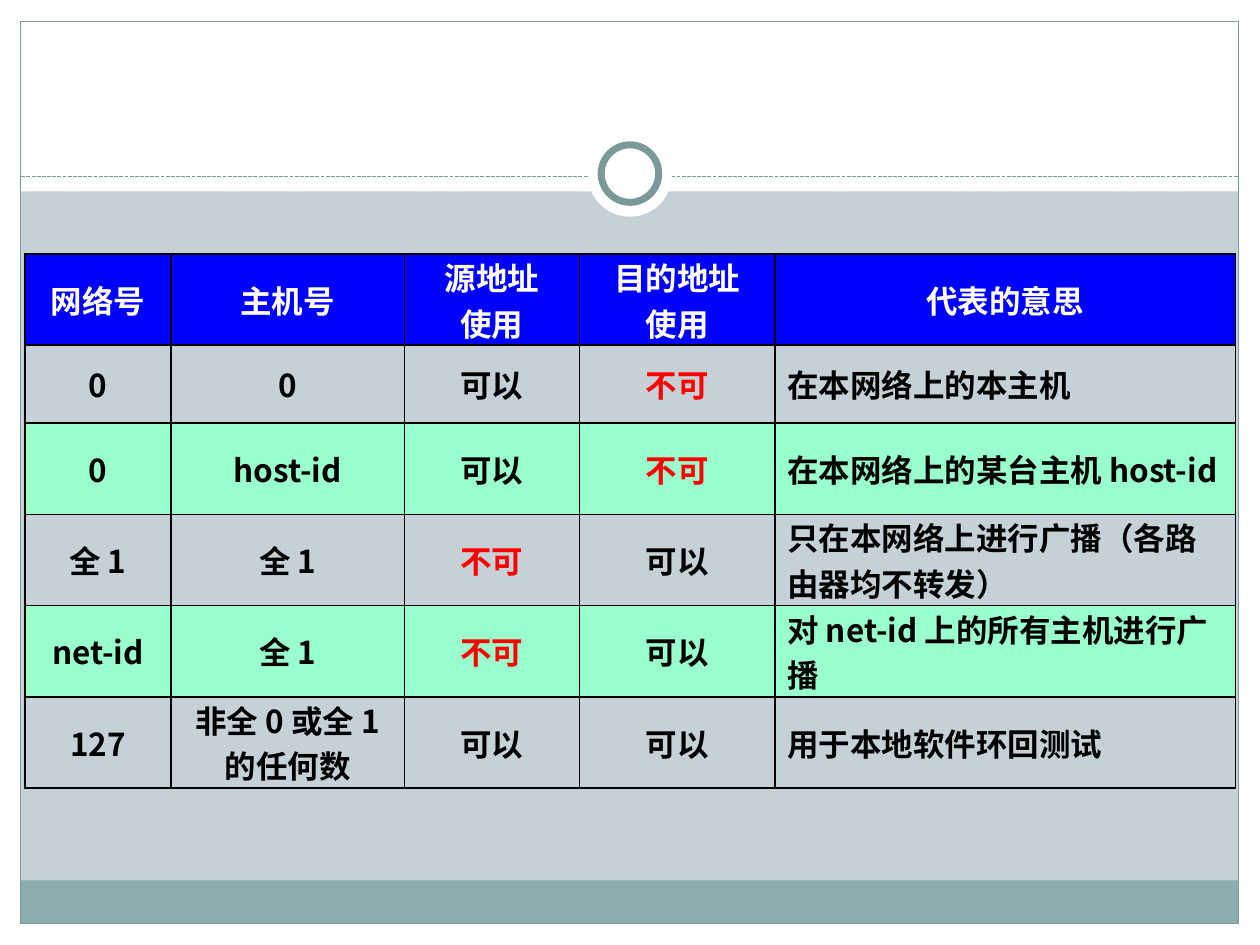
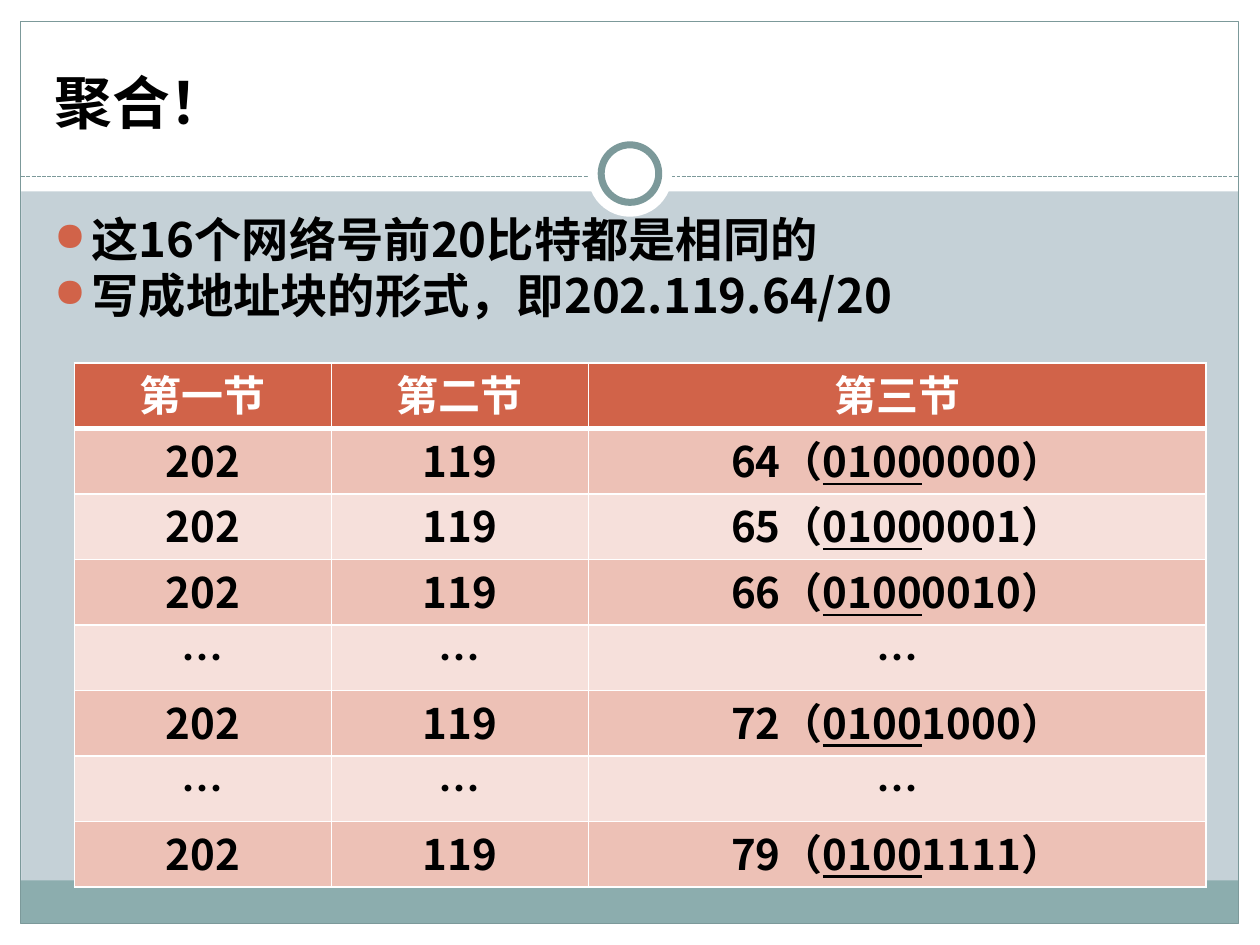
from lxml.etree import SubElement
from pptx import Presentation
from pptx.dml.color import RGBColor as RGB
from pptx.enum.dml import MSO_LINE
from pptx.enum.shapes import MSO_CONNECTOR, MSO_SHAPE as SHAPE
from pptx.enum.text import MSO_ANCHOR as ANCHOR, MSO_AUTO_SIZE as AUTO, PP_ALIGN as ALIGN
from pptx.oxml.ns import qn
from pptx.util import Cm, Pt

FONT = "Noto Sans CJK SC"
COLORS = {
    "bg": "C5D1D7", "white": "FFFFFF", "black": "000000", "footer": "8CADAE",
    "frame": "7C999A", "blue": "0000FF", "mint": "99FFCC", "red": "FF0000",
    "accent": "D16349", "pink": "EDC1B6", "pale": "F6E0DB",
}
C = {name: RGB.from_string(value) for name, value in COLORS.items()}


def add_run(p, text, size, color="black", underline=None):
    r = p.add_run()
    r.text = text
    r.font.name, r.font.size, r.font.bold = FONT, Pt(size), True
    r.font.underline = underline
    r.font.color.rgb = C[color]
    rPr = r._r.get_or_add_rPr()
    rPr.set("lang", "zh-CN")
    SubElement(rPr, qn("a:ea"), typeface=FONT)


def format_cell(cell, fill, border, inset, top=1, bottom=1):
    tcPr = cell._tc.get_or_add_tcPr()
    for side, width in (("L", 1), ("R", 1), ("T", top), ("B", bottom)):
        ln = SubElement(tcPr, qn(f"a:ln{side}"), w=str(Pt(width)))
        SubElement(SubElement(ln, qn("a:solidFill")), qn("a:srgbClr"), val=COLORS[border])
    if fill:
        cell.fill.solid()
        cell.fill.fore_color.rgb = C[fill]
    else:
        cell.fill.background()
    cell.margin_left = cell.margin_right = Cm(inset)
    cell.margin_top = cell.margin_bottom = 0


prs = Presentation()
prs.slide_width, prs.slide_height = Cm(25.4), Cm(19.05)
master = prs.slide_master
master.background.fill.solid()
master.background.fill.fore_color.rgb = C["bg"]

# Slide-wide bands, frame and ring
s = prs.slides.add_slide(prs.slide_layouts[6])
decor = [
    (SHAPE.RECTANGLE, 0, 18.62, 25.4, 0.43, "white", 0),
    (SHAPE.RECTANGLE, 0, 0, 25.4, 3.86, "white", 0),
    (SHAPE.RECTANGLE, 0, 0, 0.43, 19.05, "white", 0),
    (SHAPE.RECTANGLE, 24.97, 0, 0.43, 19.05, "white", 0),
    (SHAPE.RECTANGLE, 0.42, 17.75, 24.54, 0.87, "footer", 0),
    (SHAPE.RECTANGLE, 0.42, 0.43, 24.55, 18.19, None, 0.75),
    (None, 0.43, 3.56, 24.54, 0, None, 0.75),
    (SHAPE.OVAL, 11.85, 2.67, 1.7, 1.7, "white", 0),
    (SHAPE.OVAL, 12.12, 2.92, 1.16, 1.16, "white", 4),
]
for i, (kind, x, y, w, h, fill, line) in enumerate(decor):
    if kind is None:
        sp = s.shapes.add_connector(MSO_CONNECTOR.STRAIGHT, Cm(x), Cm(y), Cm(x + w), Cm(y + h))
        sp.line.dash_style = MSO_LINE.SQUARE_DOT
        SubElement(sp._element.spPr, qn("a:effectLst"))
    else:
        sp = s.shapes.add_shape(kind, Cm(x), Cm(y), Cm(w), Cm(h))
        sp.shadow.inherit = False
        if fill:
            sp.fill.solid()
            sp.fill.fore_color.rgb = C[fill]
        else:
            sp.fill.background()
    if line:
        sp.line.color.rgb = C["frame"]
        sp.line.width = Pt(line)
    else:
        sp.line.fill.background()
    sp._element.xpath(".//p:cNvPr")[0].set("id", str(100 + i))
    master.shapes._spTree.append(sp._element)

# Special addresses
rows = [
    ("网络号", "主机号", "源地址\n使用", "目的地址\n使用", "代表的意思"),
    ("0", "0", "可以", "不可", "在本网络上的本主机"),
    ("0", "host-id", "可以", "不可", "在本网络上的某台主机 host-id"),
    ("全 1", "全 1", "不可", "可以", "只在本网络上进行广播（各路由器均不转发）"),
    ("net-id", "全 1", "不可", "可以", "对 net-id 上的所有主机进行广播"),
    ("127", "非全 0 或全 1 的任何数", "可以", "可以", "用于本地软件环回测试"),
]
widths = [2.95, 4.7, 3.53, 3.94, 9.29]
tbl = s.shapes.add_table(len(rows), len(widths), Cm(0.5), Cm(5.12), Cm(24.41), Cm(9.4)).table
for col, w in zip(tbl.columns, widths):
    col.width = Cm(w)
for i, row in enumerate(rows):
    tbl.rows[i].height = Cm(1.57)
    fill = "blue" if i == 0 else "mint" if i % 2 == 0 else None
    for j, text in enumerate(row):
        cell = tbl.cell(i, j)
        format_cell(cell, fill, "black", 0.25)
        cell.vertical_anchor = ANCHOR.MIDDLE
        color = "white" if i == 0 else "red" if text == "不可" else "black"
        tf = cell.text_frame
        for k, part in enumerate(text.split("\n")):
            p = tf.add_paragraph() if k else tf.paragraphs[0]
            p.alignment = ALIGN.LEFT if i and j == 4 else ALIGN.CENTER
            add_run(p, part, 18, color)

# Aggregation
s = prs.slides.add_slide(prs.slide_layouts[5])
sp = s.shapes.title
sp.left, sp.top, sp.width, sp.height = Cm(0.84), Cm(0.64), Cm(23.7), Cm(2.11)
tf = sp.text_frame
tf.auto_size = AUTO.NONE
tf.vertical_anchor = ANCHOR.BOTTOM
tf.margin_bottom = 0
p = tf.paragraphs[0]
p.alignment = ALIGN.LEFT
add_run(p, "聚合！", 33)

tf = s.shapes.add_textbox(Cm(0.84), Cm(4.24), Cm(23.62), Cm(12.7)).text_frame
tf.word_wrap = True
points = ["这16个网络号前20比特都是相同的", "写成地址块的形式，即202.119.64/20"]
for k, text in enumerate(points):
    p = tf.add_paragraph() if k else tf.paragraphs[0]
    p.line_spacing = 0.9
    p.space_before = Pt(3)
    pPr = p._p.get_or_add_pPr()
    pPr.set("marL", str(Cm(0.76)))
    pPr.set("indent", str(-Cm(0.76)))
    SubElement(SubElement(pPr, qn("a:buClr")), qn("a:srgbClr"), val=COLORS["accent"])
    SubElement(pPr, qn("a:buSzPct"), val="85000")
    SubElement(pPr, qn("a:buChar"), char="●")
    add_run(p, text, 27)

rows = [("第一节", "第二节", "第三节")]
for third in (64, 65, 66, None, 72, None, 79):
    rows.append(("202", "119", third) if third else ("…",) * 3)
widths = [5.18, 5.18, 12.45]
tbl = s.shapes.add_table(len(rows), len(widths), Cm(1.5), Cm(7.32), Cm(22.81), Cm(10.6)).table
for col, w in zip(tbl.columns, widths):
    col.width = Cm(w)
for i, row in enumerate(rows):
    tbl.rows[i].height = Cm(1.32)
    fill = "accent" if i == 0 else "pink" if i % 2 else "pale"
    for j, value in enumerate(row):
        cell = tbl.cell(i, j)
        format_cell(cell, fill, "white", 0.18, 3 if i == 1 else 1, 3 if i == 0 else 1)
        p = cell.text_frame.paragraphs[0]
        p.alignment = ALIGN.CENTER
        if isinstance(value, int):
            bits = f"{value:08b}"
            add_run(p, f"{value}（", 24)
            add_run(p, bits[:4], 24, underline=True)
            add_run(p, f"{bits[4:]}）", 24)
        else:
            add_run(p, value, 24, "black" if i else "white")

prs.save("out.pptx")
